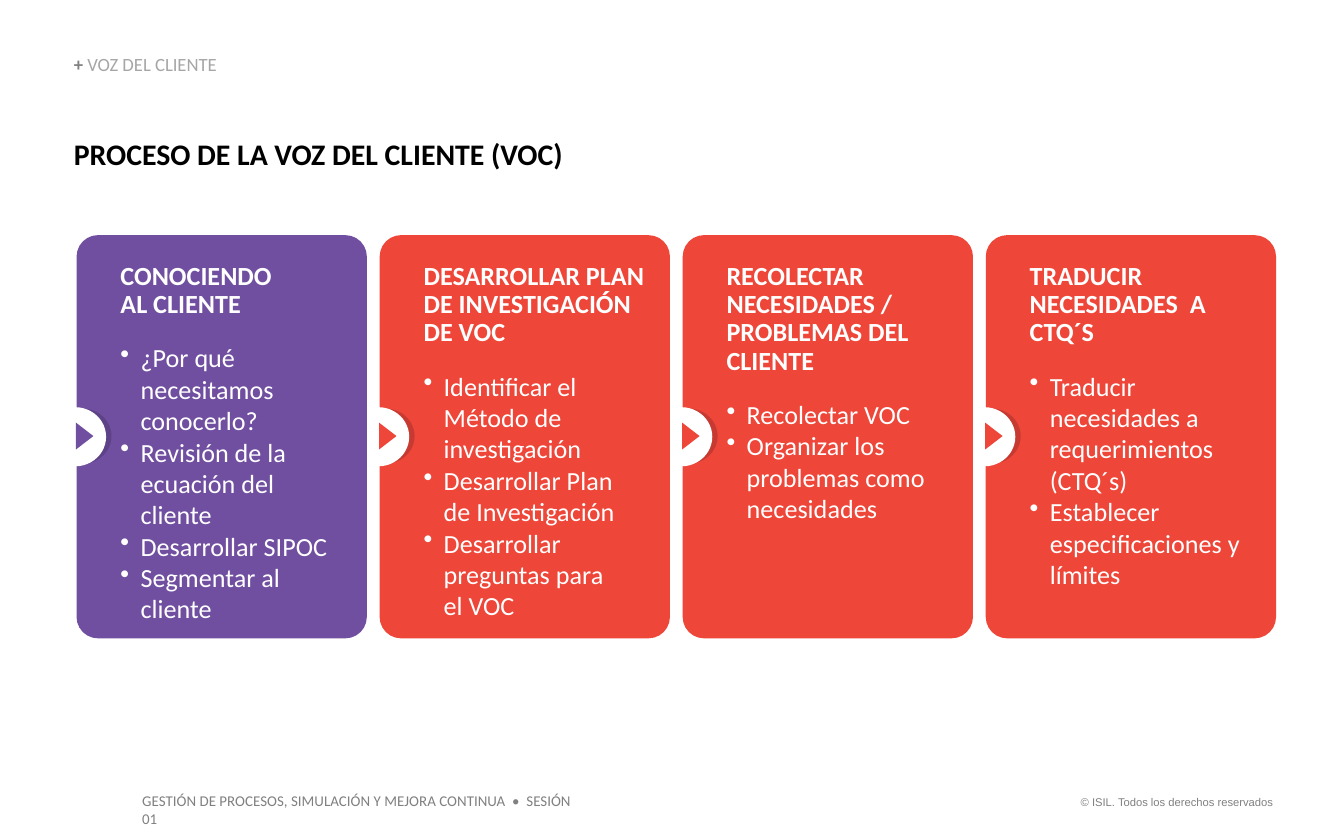
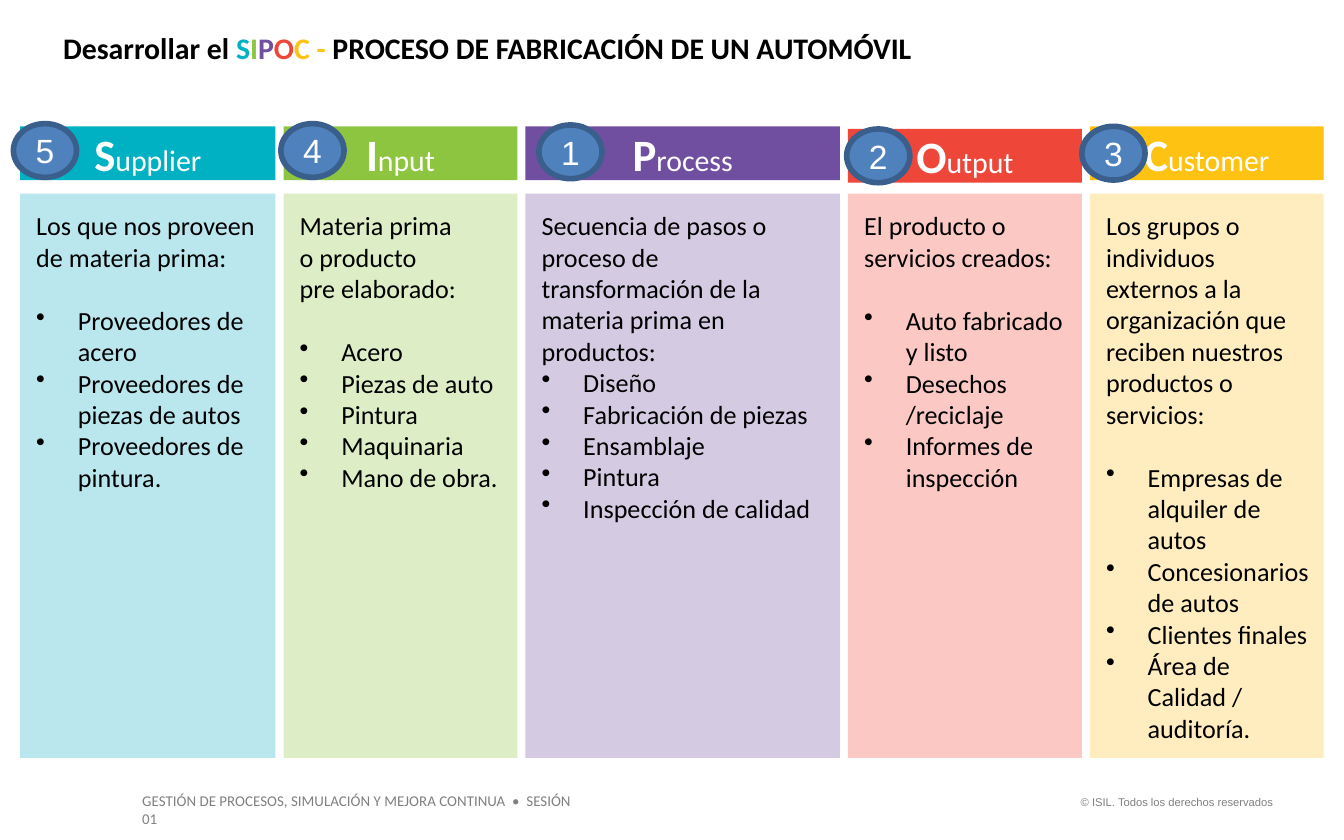
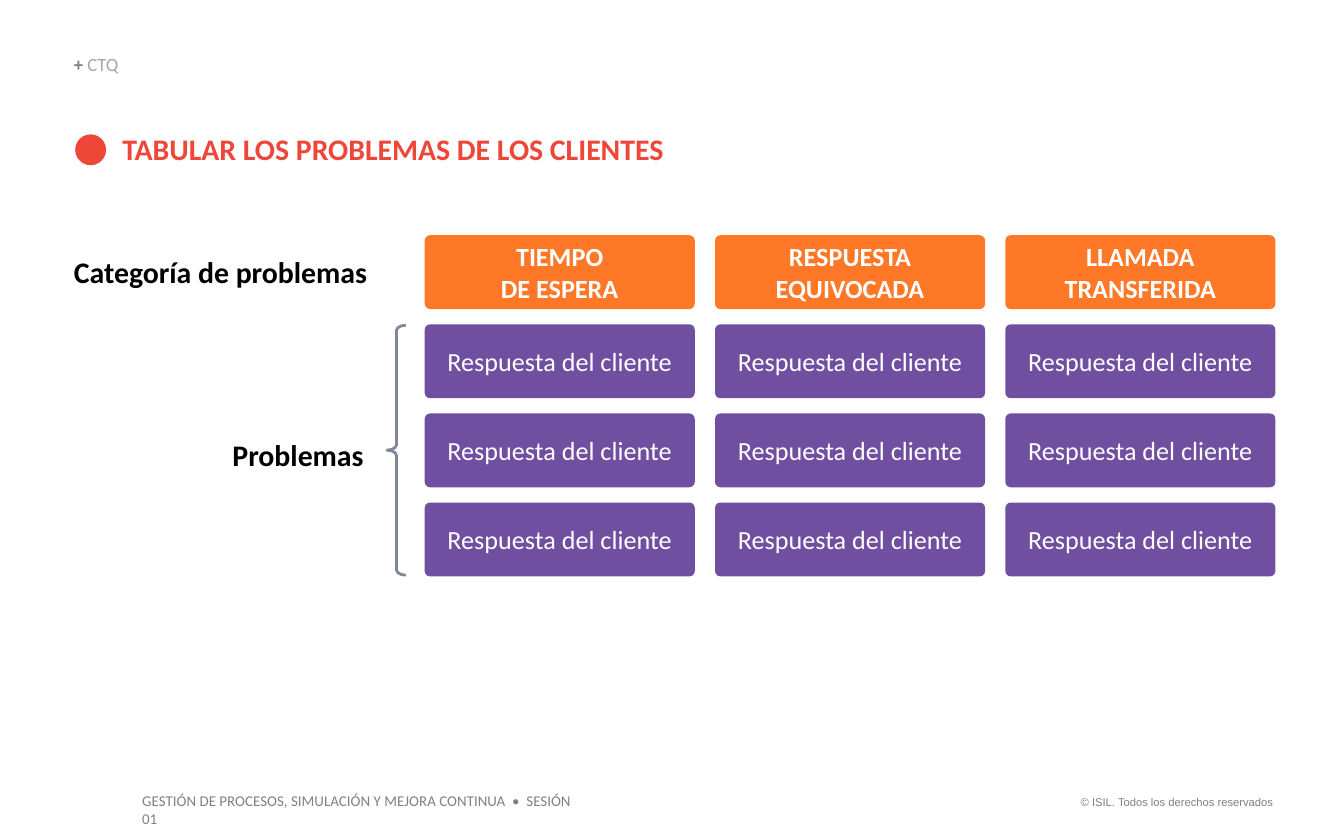
import pptx
import pptx.util
import pptx.dml.color
import pptx.enum.shapes
import pptx.enum.text
import copy
import lxml.etree

SHAPE = pptx.enum.shapes.MSO_SHAPE
ALIGN = pptx.enum.text.PP_ALIGN
ANCHOR = pptx.enum.text.MSO_ANCHOR

# The slide is a grid of 100 columns by 62.5 rows of square modules.
WIDTH, HEIGHT = pptx.util.Inches(10), pptx.util.Inches(6.25)
MODULE = WIDTH / 100

COLORS = {
    "white": "FFFFFF", "black": "000000", "gray": "808080", "light_gray": "A6A6A6",
    "purple": "714FA0", "dark_purple": "5E4287", "pale_purple": "D4CBE3",
    "red": "EE4639", "dark_red": "C73A31", "pale_red": "FBC8C4",
    "teal": "00B1C3", "pale_teal": "B9E7ED",
    "green": "8EC540", "pale_green": "DDEEC7",
    "yellow": "FEC212", "pale_yellow": "FFEDBF",
    "orange": "FE7828", "blue": "4F81BD", "dark_blue": "3A5F8C", "slate": "808799",
}

CARD_INSETS = (2.8, 1.6, 1.2, 0.5)
COLUMN_INSETS = (1.2, 1.2, 1, 0.5)
BOX_INSETS = (1, 0.5, 1, 0.5)
NO_INSETS = (0, 0, 0, 0)
ROUNDING = 0.074

VOC_STEPS = [
    ("CONOCIENDO \vAL CLIENTE",
     ["¿Por qué necesitamos conocerlo?", "Revisión de la ecuación del cliente",
      "Desarrollar SIPOC", "Segmentar al cliente"]),
    ("DESARROLLAR PLAN DE INVESTIGACIÓN DE VOC",
     ["Identificar el Método de investigación", "Desarrollar Plan \vde Investigación",
      "Desarrollar preguntas para \vel VOC"]),
    ("RECOLECTAR NECESIDADES / PROBLEMAS DEL CLIENTE",
     ["Recolectar VOC", "Organizar los problemas como necesidades"]),
    ("TRADUCIR NECESIDADES  A CTQ´S",
     ["Traducir necesidades a requerimientos (CTQ´s)",
      "Establecer especificaciones y \vlímites"]),
]

# name, color, width, header top, (badge number, badge shift, badge top),
# introduction, space before the list, list
SIPOC_COLUMNS = [
    ("Supplier", "teal", 19, 9.4, ("5", -0.5, 9.2),
     ["Los que nos proveen de materia prima:"], 17,
     ["Proveedores de acero", "Proveedores de piezas de autos", "Proveedores de pintura."]),
    ("Input", "green", 17.4, 9.4, ("4", -0.2, 9.2),
     ["Materia prima", "o producto", "pre elaborado:"], 17,
     ["Acero", "Piezas de auto", "Pintura", "Maquinaria", "Mano de obra."]),
    ("Process", "purple", 23.4, 9.4, ("1", 1, 9.3),
     ["Secuencia de pasos o proceso de transformación de la materia prima en productos:"], 0,
     ["Diseño", "Fabricación de piezas", "Ensamblaje", "Pintura", "Inspección de calidad"]),
    ("Output", "red", 17.4, 9.6, ("2", -0.1, 9.6),
     ["El producto o servicios creados:"], 17,
     ["Auto fabricado y listo", "Desechos /reciclaje", "Informes de inspección"]),
    ("Customer", "yellow", 17.4, 9.4, ("3", -0.6, 9.4),
     ["Los grupos o individuos externos a la organización que reciben nuestros "
      "productos o servicios:"], 17,
     ["Empresas de alquiler de autos", "Concesionarios de autos", "Clientes finales",
      "Área de Calidad / auditoría."]),
]

PROBLEM_CATEGORIES = [["TIEMPO", "DE ESPERA"], ["RESPUESTA EQUIVOCADA"], ["LLAMADA TRANSFERIDA"]]


def grid(*modules):
    return [pptx.util.Emu(round(count * MODULE)) for count in modules]


def rgb(name):
    return pptx.dml.color.RGBColor.from_string(COLORS[name])


def set_frame(frame, insets, anchor):
    frame.word_wrap = True
    frame.vertical_anchor = anchor
    (frame.margin_left, frame.margin_top,
     frame.margin_right, frame.margin_bottom) = grid(*insets)
    return frame


def add_bullet(paragraph, indent):
    properties = paragraph._p.get_or_add_pPr()
    offset = grid(indent)[0]
    properties.set("marL", str(offset))
    properties.set("indent", str(-offset))
    namespace = properties.nsmap["a"]
    lxml.etree.SubElement(properties, f"{{{namespace}}}buChar", char="•")


def write(frame, text, size=14, color="black", bold=False, font="Calibri", align=ALIGN.LEFT,
          bullet_indent=0, line_spacing=None, before=0, after=0):
    """Add a paragraph; text is a string or a list of (string, format changes)."""
    paragraph = frame.paragraphs[-1]
    if paragraph.runs:
        paragraph = frame.add_paragraph()
    if bullet_indent:
        add_bullet(paragraph, bullet_indent)
    paragraph.alignment = align
    paragraph.line_spacing = line_spacing
    paragraph.space_before = pptx.util.Pt(before)
    paragraph.space_after = pptx.util.Pt(after)
    for part, changes in [(text, {})] if isinstance(text, str) else text:
        style = {"size": size, "color": color, "bold": bold, **changes}
        for number, line in enumerate(part.split("\v")):
            if number:
                line_break = paragraph._p.add_br()
                line_break.append(copy.deepcopy(run._r.rPr))
            run = paragraph.add_run()
            run.text = line
            run.font.name = font
            run.font.size = pptx.util.Pt(style["size"])
            run.font.bold = style["bold"]
            run.font.color.rgb = rgb(style["color"])


def add_label(slide, place, text, insets=NO_INSETS, anchor=ANCHOR.TOP, **style):
    label = slide.shapes.add_textbox(*grid(*place))
    write(set_frame(label.text_frame, insets, anchor), text, **style)


def add_figure(slide, kind, place, fill=None, line=None, line_width=1,
               adjustments=(), insets=BOX_INSETS, anchor=ANCHOR.MIDDLE):
    figure = slide.shapes.add_shape(kind, *grid(*place))
    figure.shadow.inherit = False
    for index, value in enumerate(adjustments):
        figure.adjustments[index] = value
    if fill:
        figure.fill.solid()
        figure.fill.fore_color.rgb = rgb(fill)
    else:
        figure.fill.background()
    if line:
        figure.line.color.rgb = rgb(line)
        figure.line.width = pptx.util.Pt(line_width)
    else:
        figure.line.fill.background()
    set_frame(figure.text_frame, insets, anchor)
    return figure


def add_slide(deck):
    """Add a blank slide with the common footers."""
    slide = deck.slides.add_slide(deck.slide_layouts[6])
    add_label(slide, (78.8, 58.7, 16.9, 2), "© ISIL. Todos los derechos reservados",
              insets=BOX_INSETS, size=6, font="Arial", color="gray", align=ALIGN.RIGHT)
    add_label(slide, (9.6, 58.4, 35.3, 2.4),
              "GESTIÓN DE PROCESOS, SIMULACIÓN Y MEJORA CONTINUA  •  SESIÓN 01",
              insets=BOX_INSETS, size=8, color="gray")
    return slide


def add_section(slide, name):
    add_label(slide, (5.5, 4.1, 26.6, 1.5),
              [("+ ", {"bold": True, "color": "gray"}), (name, {})],
              anchor=ANCHOR.BOTTOM, size=10, color="light_gray", line_spacing=0.9)


def add_title(slide, left, top, width, text, color="black"):
    add_label(slide, (left, top, width, 2.7), text, size=16, color=color, bold=True)


def add_step_card(slide, left, heading, tasks, tone):
    card = add_figure(slide, SHAPE.ROUNDED_RECTANGLE, (left, 17.5, 21.6, 30), tone,
                      adjustments=[ROUNDING], insets=CARD_INSETS, anchor=ANCHOR.TOP)
    write(card.text_frame, heading, color="white", bold=True, line_spacing=0.9, after=12)
    for task in tasks:
        write(card.text_frame, task, color="white", bullet_indent=1.5)
    add_figure(slide, SHAPE.OVAL, (left - 1.7, 30.4, 4.3, 4.1), "dark_" + tone)
    add_figure(slide, SHAPE.OVAL, (left - 2.4, 30.3, 4.6, 4.4), "white")
    arrow = add_figure(slide, SHAPE.ISOSCELES_TRIANGLE, (left - 0.4, 31.8, 2, 1.3), tone)
    arrow.rotation = 90


def add_sipoc_column(slide, left, width, name, color, header_top, intro, gap, items):
    header = add_figure(slide, SHAPE.RECTANGLE, (left, header_top, width, 4), color)
    write(header.text_frame, [(name[0], {"size": 24, "bold": True}), (name[1:], {})],
          size=16, color="white", align=ALIGN.CENTER)
    body = add_figure(slide, SHAPE.RECTANGLE, (left, 14.4, width, 42), "pale_" + color,
                      insets=COLUMN_INSETS, anchor=ANCHOR.TOP)
    for line in intro:
        write(body.text_frame, line)
    for index, item in enumerate(items):
        write(body.text_frame, item, bullet_indent=3.1, before=0 if index else gap)


def add_badge(slide, left, top, number):
    badge = add_figure(slide, SHAPE.OVAL, (left, top, 4.7, 4), "blue", line="dark_blue",
                       line_width=3, insets=NO_INSETS)
    write(badge.text_frame, number, size=18, font="Arial", color="white", align=ALIGN.CENTER)


def add_problem_cell(slide, column, row, lines, fill, bold=False):
    place = (31.6 + 21.6 * column, 17.5 + 6.63 * row, 20.1, 5.5)
    cell = add_figure(slide, SHAPE.ROUNDED_RECTANGLE, place, fill, adjustments=[ROUNDING])
    for line in lines:
        write(cell.text_frame, line, color="white", bold=bold, align=ALIGN.CENTER)


def build_voc_process(deck):
    slide = add_slide(deck)
    # From right to left, so that each card covers the outer half of the next circle.
    for index, (heading, tasks) in reversed(list(enumerate(VOC_STEPS))):
        add_step_card(slide, 5.7 + 22.55 * index, heading, tasks, "red" if index else "purple")
    add_section(slide, "VOZ DEL CLIENTE")
    add_title(slide, 5.5, 10.1, 69, "PROCESO DE LA VOZ DEL CLIENTE (VOC)")


def build_sipoc(deck):
    slide = add_slide(deck)
    initials = [(column[0][0], {"color": column[1]}) for column in SIPOC_COLUMNS]
    add_title(slide, 4.7, 2.2, 88,
              [("Desarrollar el ", {}), *initials, (" - ", {"color": "yellow"}),
               ("PROCESO DE FABRICACIÓN DE UN AUTOMÓVIL", {})])
    left, gutter = 1.5, 0.6
    badges = []
    for name, color, width, header_top, badge, intro, gap, items in SIPOC_COLUMNS:
        add_sipoc_column(slide, left, width, name, color, header_top, intro, gap, items)
        number, shift, top = badge
        badges.append((left + shift, top, number))
        left += width + gutter
    for badge in badges:
        add_badge(slide, *badge)


def build_problem_table(deck):
    slide = add_slide(deck)
    add_section(slide, "CTQ")
    add_figure(slide, SHAPE.OVAL, (5.6, 10, 2.3, 2.3), "red")
    add_title(slide, 9.1, 9.7, 79.5, "TABULAR LOS PROBLEMAS DE LOS CLIENTES", "red")
    add_title(slide, 5.5, 18.9, 22.8, "Categoría de problemas")
    add_title(slide, 17.3, 32.5, 10, "Problemas")
    add_figure(slide, SHAPE.LEFT_BRACE, (28.8, 24.2, 1.4, 18.6), line="slate",
               line_width=1.5, adjustments=[0.28, 0.5])
    for column, category in enumerate(PROBLEM_CATEGORIES):
        add_problem_cell(slide, column, 0, category, "orange", bold=True)
        for row in range(1, 4):
            add_problem_cell(slide, column, row, ["Respuesta del cliente"], "purple")


def main():
    deck = pptx.Presentation()
    deck.slide_width, deck.slide_height = WIDTH, HEIGHT
    build_voc_process(deck)
    build_sipoc(deck)
    build_problem_table(deck)
    deck.save("out.pptx")


if __name__ == "__main__":
    main()
